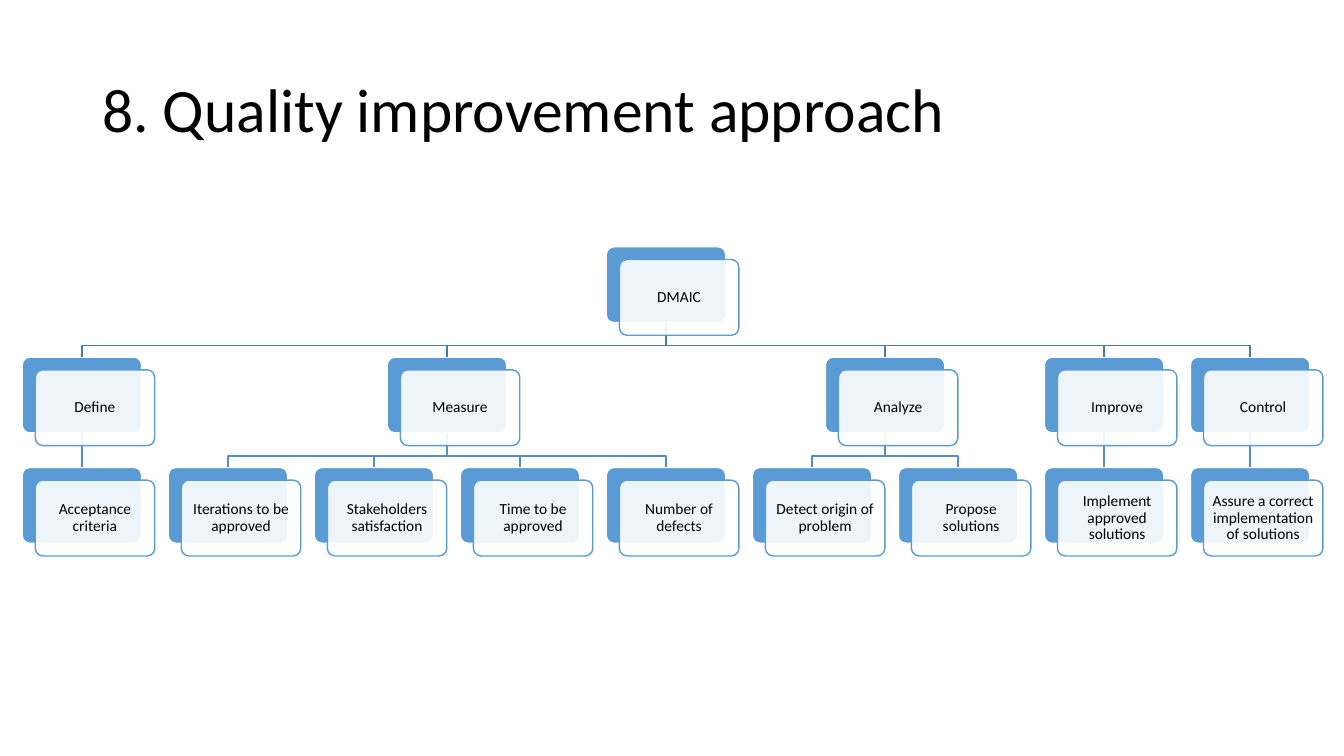
from lxml import etree
from pptx import Presentation
from pptx.dml.color import RGBColor
from pptx.enum.shapes import MSO_CONNECTOR, MSO_SHAPE
from pptx.enum.text import MSO_ANCHOR, PP_ALIGN
from pptx.oxml.ns import qn
from pptx.util import Cm, Pt

STRAIGHT = MSO_CONNECTOR.STRAIGHT
ROUNDED = MSO_SHAPE.ROUNDED_RECTANGLE
MIDDLE = MSO_ANCHOR.MIDDLE
LEFT, CENTER = PP_ALIGN.LEFT, PP_ALIGN.CENTER
BOTTOM_SITE, TOP_SITE = 2, 0

COLORS = {
    "plate": "5B9BD5",
    "white": "FFFFFF",
    "text": "000000",
    "root_link": "497CAB",
    "phase_link": "538DC1",
}
FONT = "Calibri"
CHART_LEFT, CHART_TOP = 0.56, 6.22
COLUMN_STEP, ROW_STEP = 3.68, 2.78
CARD_WIDTH, CARD_HEIGHT = 3.01, 1.91
FRONT_SHIFT_X, FRONT_SHIFT_Y = 0.33, 0.32
ELBOW_DROP = 0.58
LINE_WIDTH = Pt(1)

TITLE = "8. Quality improvement approach"
ROOT = "DMAIC"
PHASES = {
    "Define": ["Acceptance criteria"],
    "Measure": [
        "Iterations to be approved",
        "Stakeholders satisfaction",
        "Time to be approved",
        "Number of defects",
    ],
    "Analyze": ["Detect origin of problem", "Propose solutions"],
    "Improve": ["Implement approved solutions"],
    "Control": ["Assure a correct implementation of solutions"],
}


def color(name):
    return RGBColor.from_string(COLORS[name])


def write_text(shape, text, size, align, inset):
    frame = shape.text_frame
    frame_format = {
        "word_wrap": True,
        "vertical_anchor": MIDDLE,
        "margin_left": Cm(inset),
        "margin_right": Cm(inset),
        "margin_top": Cm(0.13),
        "margin_bottom": Cm(0.13),
    }
    for name, value in frame_format.items():
        setattr(frame, name, value)
    para = frame.paragraphs[0]
    para.alignment = align
    para.line_spacing = 0.9
    span = para.add_run()
    span.text = text
    for name, value in {"name": FONT, "size": Pt(size)}.items():
        setattr(span.font, name, value)
    span.font.color.rgb = color("text")


def add_title(page):
    box = page.shapes.add_textbox(Cm(2.33), Cm(1.0), Cm(29.21), Cm(3.68))
    write_text(box, TITLE, 44, LEFT, 0.25)


def add_panel(page, left, top, fill, line):
    panel = page.shapes.add_shape(
        ROUNDED, Cm(left), Cm(top), Cm(CARD_WIDTH), Cm(CARD_HEIGHT)
    )
    panel.adjustments[0] = 0.1
    panel.shadow.inherit = False
    panel.fill.solid()
    panel.fill.fore_color.rgb = color(fill)
    panel.line.color.rgb = color(line)
    panel.line.width = LINE_WIDTH
    return panel


def add_plate(page, column, row):
    left = CHART_LEFT + column * COLUMN_STEP
    top = CHART_TOP + row * ROW_STEP
    return add_panel(page, left, top, "plate", "white")


def add_label_card(page, plate, text):
    left = plate.left.cm + FRONT_SHIFT_X
    top = plate.top.cm + FRONT_SHIFT_Y
    card = add_panel(page, left, top, "white", "plate")
    fill_color = card.element.spPr.find(qn("a:solidFill"))[0]
    etree.SubElement(fill_color, qn("a:alpha"), val="90000")
    write_text(card, text, 11, CENTER, 0.13)


def add_straight_link(page, parent, child):
    link = page.shapes.add_connector(STRAIGHT, 0, 0, 0, 0)
    link.begin_connect(parent, BOTTOM_SITE)
    link.end_connect(child, TOP_SITE)
    return link


def add_elbow_link(page, parent, child):
    start_x = parent.left + parent.width // 2
    start_y = parent.top + parent.height
    end_x = child.left + child.width // 2
    bend_y = start_y + Cm(ELBOW_DROP)
    outline = page.shapes.build_freeform(start_x, start_y)
    corners = [(start_x, bend_y), (end_x, bend_y), (end_x, child.top)]
    outline.add_line_segments(corners, close=False)
    link = outline.convert_to_shape()
    link.fill.background()
    link.shadow.inherit = False
    return link


def add_link(page, parent, child, line):
    if parent.left == child.left:
        link = add_straight_link(page, parent, child)
    else:
        link = add_elbow_link(page, parent, child)
    link.line.color.rgb = color(line)
    link.line.width = LINE_WIDTH
    properties = link.element.spPr
    if properties.find(qn("a:effectLst")) is None:
        etree.SubElement(properties, qn("a:effectLst"))


def add_tree(page):
    step_count = sum(len(steps) for steps in PHASES.values())
    root = add_plate(page, (step_count - 1) / 2, 0)
    labels = [(root, ROOT)]
    links = []
    column = 0
    for phase, steps in PHASES.items():
        phase_plate = add_plate(page, column + (len(steps) - 1) / 2, 1)
        labels.append((phase_plate, phase))
        links.append((root, phase_plate, "root_link"))
        for step in steps:
            step_plate = add_plate(page, column, 2)
            labels.append((step_plate, step))
            links.append((phase_plate, step_plate, "phase_link"))
            column += 1
    for parent, child, line in links:
        add_link(page, parent, child, line)
    for plate, text in labels:
        add_label_card(page, plate, text)


def main():
    deck = Presentation()
    deck.slide_width, deck.slide_height = Cm(33.87), Cm(19.05)
    page = deck.slides.add_slide(deck.slide_layouts[6])
    add_title(page)
    add_tree(page)
    deck.save("out.pptx")


if __name__ == "__main__":
    main()
